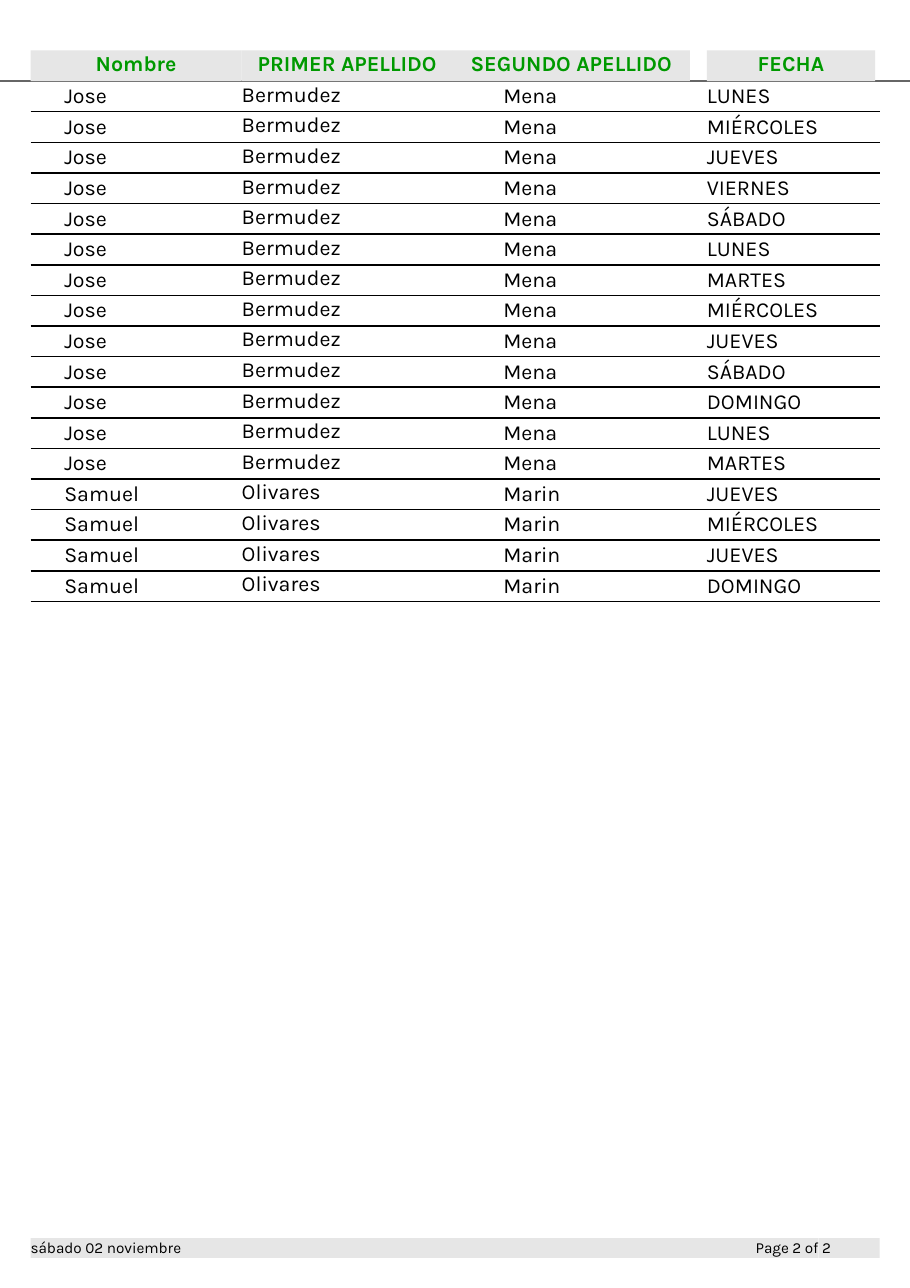
from dataclasses import dataclass
from typing import NamedTuple

from lxml import etree
from pptx import Presentation
from pptx import util as u
from pptx.dml.color import RGBColor
from pptx.enum import shapes, text
from pptx.oxml import ns


@dataclass(frozen=True)
class Theme:
    font: str = "Karla"
    background: str = "FFFFFF"
    band: str = "E6E6E6"
    heading: str = "009900"
    ink: str = "000000"
    top_rule: str = "666666"
    table_size: int = 14
    footer_size: int = 10
    rule_width: int = 1


class Column(NamedTuple):
    heading: str
    left: float
    band_width: float
    indent: float
    text_drop: float


class FooterPart(NamedTuple):
    wording: str
    left: float
    width: float
    alignment: text.PP_ALIGN
    banded: bool


THEME = Theme()

# Grid: one unit is the height of a table row
UNIT = u.Pt(20)
PAGE_WIDTH, PAGE_HEIGHT = 29.74, 42.08
HEADER_TOP, TABLE_TOP, TABLE_RIGHT = 1.65, 2.65, 28.75
FOOTER_TOP, FOOTER_HEIGHT = 40.45, 0.65

COLUMNS = [
    Column("Nombre", 1, 6.9, 1.1, 0.1),
    Column("PRIMER APELLIDO", 7.9, 6.9, 0, 0.05),
    Column("SEGUNDO APELLIDO", 14.8, 7.75, 1.65, 0.1),
    Column("FECHA", 23.1, 5.5, 0, 0.1),
]

ATTENDANCE = [
    (("Jose", "Bermudez", "Mena"),
     ["LUNES", "MIÉRCOLES", "JUEVES", "VIERNES", "SÁBADO", "LUNES", "MARTES",
      "MIÉRCOLES", "JUEVES", "SÁBADO", "DOMINGO", "LUNES", "MARTES"]),
    (("Samuel", "Olivares", "Marin"),
     ["JUEVES", "MIÉRCOLES", "JUEVES", "DOMINGO"]),
]

FOOTER = [
    FooterPart("Page 2 of", 1, 25.75, text.PP_ALIGN.RIGHT, True),
    FooterPart(" 2", 26.75, 2, text.PP_ALIGN.LEFT, True),
    FooterPart("sábado 02 noviembre", 1, 5, text.PP_ALIGN.LEFT, False),
]


def grid(units: float) -> int:
    return round(units * UNIT)


def write(frame, wording: str, size: int, color: str,
          alignment=text.PP_ALIGN.LEFT, bold: bool = False) -> None:
    paragraph = frame.paragraphs[0]
    paragraph.text = wording
    paragraph.alignment = alignment
    paragraph.font.name = THEME.font
    paragraph.font.size = u.Pt(size)
    paragraph.font.bold = bold
    paragraph.font.color.rgb = RGBColor.from_string(color)


def add_label(slide, left: float, top: float, width: float, height: float,
              banded: bool):
    """Adds a label without insets and returns its text frame."""
    box = [grid(value) for value in (left, top, width, height)]
    if banded:
        shape = slide.shapes.add_shape(shapes.MSO_SHAPE.RECTANGLE, *box)
        shape.shadow.inherit = False
        shape.fill.solid()
        shape.fill.fore_color.rgb = RGBColor.from_string(THEME.band)
        shape.line.fill.background()
    else:
        shape = slide.shapes.add_textbox(*box)
    frame = shape.text_frame
    frame.word_wrap = True
    frame.vertical_anchor = text.MSO_ANCHOR.TOP
    frame.margin_left = frame.margin_right = 0
    frame.margin_top = frame.margin_bottom = 0
    return frame


def add_rule(slide, left: float, right: float, top: float, color: str) -> None:
    rule = slide.shapes.add_connector(
        shapes.MSO_CONNECTOR.STRAIGHT,
        grid(left), grid(top), grid(right), grid(top))
    rule.line.color.rgb = RGBColor.from_string(color)
    rule.line.width = u.Pt(THEME.rule_width)
    etree.SubElement(rule._element.spPr, ns.qn("a:effectLst"))


def clear_borders(cell) -> None:
    properties = cell._tc.get_or_add_tcPr()
    for position, side in enumerate(("lnL", "lnR", "lnT", "lnB")):
        border = etree.Element(ns.qn(f"a:{side}"))
        etree.SubElement(border, ns.qn("a:noFill"))
        properties.insert(position, border)


def add_attendance_table(slide) -> None:
    records = [(*person, day) for person, days in ATTENDANCE for day in days]
    left = COLUMNS[0].left
    for row in range(len(records)):
        add_rule(slide, left, TABLE_RIGHT, TABLE_TOP + row + 1, THEME.ink)

    table = slide.shapes.add_table(
        len(records), len(COLUMNS), grid(left), grid(TABLE_TOP),
        grid(TABLE_RIGHT - left), grid(len(records))).table
    table.first_row = table.horz_banding = False

    edges = [column.left for column in COLUMNS] + [TABLE_RIGHT]
    for index, column in enumerate(table.columns):
        column.width = grid(edges[index + 1] - edges[index])

    for row, record in enumerate(records):
        table.rows[row].height = grid(1)
        for index, (column, wording) in enumerate(zip(COLUMNS, record)):
            cell = table.cell(row, index)
            cell.fill.background()
            cell.margin_left = grid(column.indent)
            cell.margin_top = grid(column.text_drop)
            cell.margin_right = cell.margin_bottom = 0
            cell.vertical_anchor = text.MSO_ANCHOR.TOP
            write(cell.text_frame, wording, THEME.table_size, THEME.ink)
            clear_borders(cell)


def main() -> None:
    presentation = Presentation()
    presentation.slide_width = grid(PAGE_WIDTH)
    presentation.slide_height = grid(PAGE_HEIGHT)
    slide = presentation.slides.add_slide(presentation.slide_layouts[6])
    slide.background.fill.solid()
    slide.background.fill.fore_color.rgb = RGBColor.from_string(THEME.background)

    # Header
    add_rule(slide, 0, PAGE_WIDTH, TABLE_TOP, THEME.top_rule)
    for column in COLUMNS:
        frame = add_label(slide, column.left, HEADER_TOP, column.band_width,
                          TABLE_TOP - HEADER_TOP, banded=True)
        write(frame, column.heading, THEME.table_size, THEME.heading,
              text.PP_ALIGN.CENTER, bold=True)

    # Attendance
    add_attendance_table(slide)

    # Footer
    for part in FOOTER:
        frame = add_label(slide, part.left, FOOTER_TOP, part.width,
                          FOOTER_HEIGHT, part.banded)
        write(frame, part.wording, THEME.footer_size, THEME.ink, part.alignment)

    presentation.save("out.pptx")


if __name__ == "__main__":
    main()
